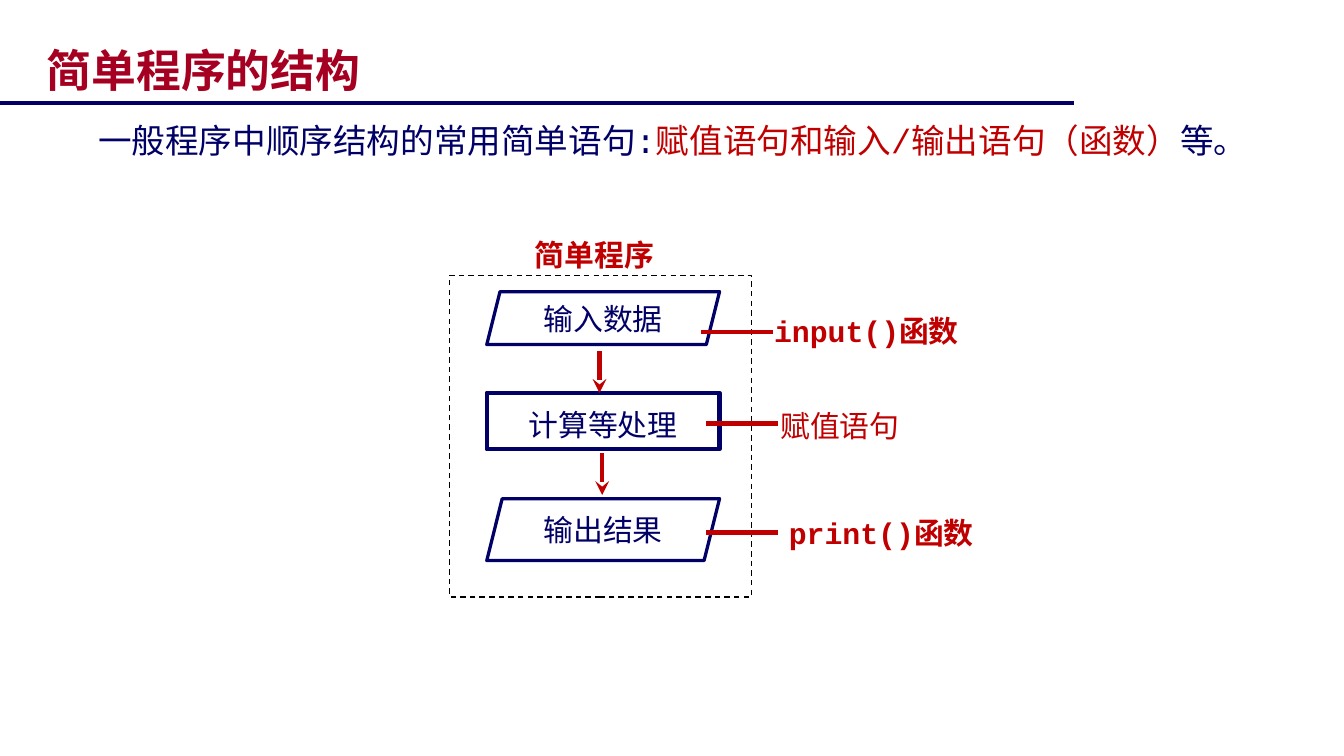
from dataclasses import dataclass

from lxml.etree import SubElement
from pptx import Presentation
from pptx.dml.color import RGBColor
from pptx.enum.dml import MSO_LINE_DASH_STYLE as Dash
from pptx.enum.shapes import MSO_CONNECTOR as Link, MSO_SHAPE as Kind
from pptx.enum.text import MSO_ANCHOR as Anchor, PP_ALIGN as Align
from pptx.oxml.ns import qn
from pptx.util import Cm, Pt

NAVY, RED, CRIMSON, BLACK = "000066", "C00000", "A50021", "000000"
LATIN, CHINESE = "Courier New", "Noto Sans CJK SC"


@dataclass
class Step:
    text: str
    kind: Kind
    top: float
    height: float
    weight: float
    bottom_inset: float


@dataclass
class Label:
    text: str
    left: float
    top: float
    width: float
    bold: bool = True


@dataclass
class Line:
    x1: float
    y1: float
    x2: float
    y2: float
    color: str = RED
    weight: float = 2.5
    arrow: bool = False


def color(value: str) -> RGBColor:
    return RGBColor.from_string(value)


def style(para, size: float, shade: str, bold=False, latin=LATIN) -> None:
    font = para.font
    font.size, font.bold, font.name = Pt(size), bold, latin
    font.color.rgb = color(shade)
    SubElement(font._element, qn("a:ea"), typeface=CHINESE)


def place(shape, left: float, top: float, width: float, height: float) -> None:
    shape.left, shape.top = Cm(left), Cm(top)
    shape.width, shape.height = Cm(width), Cm(height)


def draw_frame(page, kind: Kind, at: tuple, shade: str, weight: float):
    box = page.shapes.add_shape(kind, *map(Cm, at))
    box.shadow.inherit = False
    box.fill.background()
    box.line.color.rgb = color(shade)
    box.line.width = Pt(weight)
    return box


def draw_step(page, step: Step) -> None:
    at = (9.2, step.top, 4.4, step.height)
    box = draw_frame(page, step.kind, at, NAVY, step.weight)
    frame = box.text_frame
    frame.vertical_anchor = Anchor.MIDDLE
    frame.margin_top = Cm(0)
    frame.margin_bottom = Cm(step.bottom_inset)
    para = frame.paragraphs[0]
    para.text = step.text
    para.alignment = Align.CENTER
    para.line_spacing = 1.2
    style(para, 16, NAVY)


def draw_label(page, label: Label) -> None:
    at = (label.left, label.top, label.width, 0.94)
    frame = page.shapes.add_textbox(*map(Cm, at)).text_frame
    frame.word_wrap = True
    para = frame.paragraphs[0]
    para.text = label.text
    style(para, 16, RED, label.bold)


def draw_line(page, line: Line) -> None:
    ends = map(Cm, (line.x1, line.y1, line.x2, line.y2))
    link = page.shapes.add_connector(Link.STRAIGHT, *ends)
    link.line.color.rgb = color(line.color)
    link.line.width = Pt(line.weight)
    if line.arrow:
        SubElement(link.line._get_or_add_ln(), qn("a:tailEnd"), type="stealth")
    SubElement(link._element.spPr, qn("a:effectLst"))


def fill_heading(holder, at: tuple):
    place(holder, *at)
    frame = holder.text_frame
    frame.word_wrap = True
    frame.vertical_anchor = Anchor.TOP
    para = frame.paragraphs[0]
    para.alignment = Align.LEFT
    para.line_spacing = 1.2
    para.space_before = Pt(0)
    return para


def main() -> None:
    deck = Presentation()
    deck.slide_width, deck.slide_height = Cm(25.4), Cm(14.28)
    page = deck.slides.add_slide(deck.slide_layouts[1])

    # Title with its rule
    para = fill_heading(page.shapes.title, (0.63, 0.48, 12.3, 1.5))
    para.text = "简单程序的结构"
    style(para, 24, CRIMSON, True, CHINESE)
    draw_line(page, Line(0, 1.95, 20.3, 1.95, NAVY, 2))

    # Introductory sentence
    para = fill_heading(page.placeholders[1], (1.6, 1.98, 23.5, 1.02))
    props = para._p.get_or_add_pPr()
    props.set("marL", "0")
    props.set("indent", "0")
    SubElement(props, qn("a:buNone"))
    style(para, 18, NAVY)
    for text, shade in (
        ("一般程序中顺序结构的常用简单语句:", NAVY),
        ("赋值语句和输入/输出语句（函数）", RED),
        ("等。", NAVY),
    ):
        span = para.add_run()
        span.text = text
        span.font.color.rgb = color(shade)

    # Dashed border around the flow
    border = draw_frame(page, Kind.RECTANGLE, (8.5, 5.2, 5.7, 6.08), BLACK, 0.75)
    border.line.dash_style = Dash.DASH

    # Flow steps
    for step in (
        Step("输入数据", Kind.PARALLELOGRAM, 5.51, 1.0, 1.75, 0.13),
        Step("计算等处理", Kind.RECTANGLE, 7.42, 1.07, 2.25, 0),
        Step("输出结果", Kind.PARALLELOGRAM, 9.42, 1.17, 1.75, 0.13),
    ):
        draw_step(page, step)

    # Arrows between steps, then leaders to the labels
    for x, top in ((11.33, 6.63), (11.38, 8.56)):
        draw_line(page, Line(x, top, x, top + 0.79, arrow=True))
    for x, y in ((13.25, 6.27), (13.34, 8.0), (13.34, 10.06)):
        draw_line(page, Line(x, y, x + 1.36, y))

    # Labels
    for label in (
        Label("简单程序", 9.86, 4.34, 2.8),
        Label("input()函数", 14.38, 5.79, 5.7),
        Label("赋值语句", 14.5, 7.57, 2.8, bold=False),
        Label("print()函数", 14.66, 9.6, 4.06),
    ):
        draw_label(page, label)

    deck.save("out.pptx")


if __name__ == "__main__":
    main()
